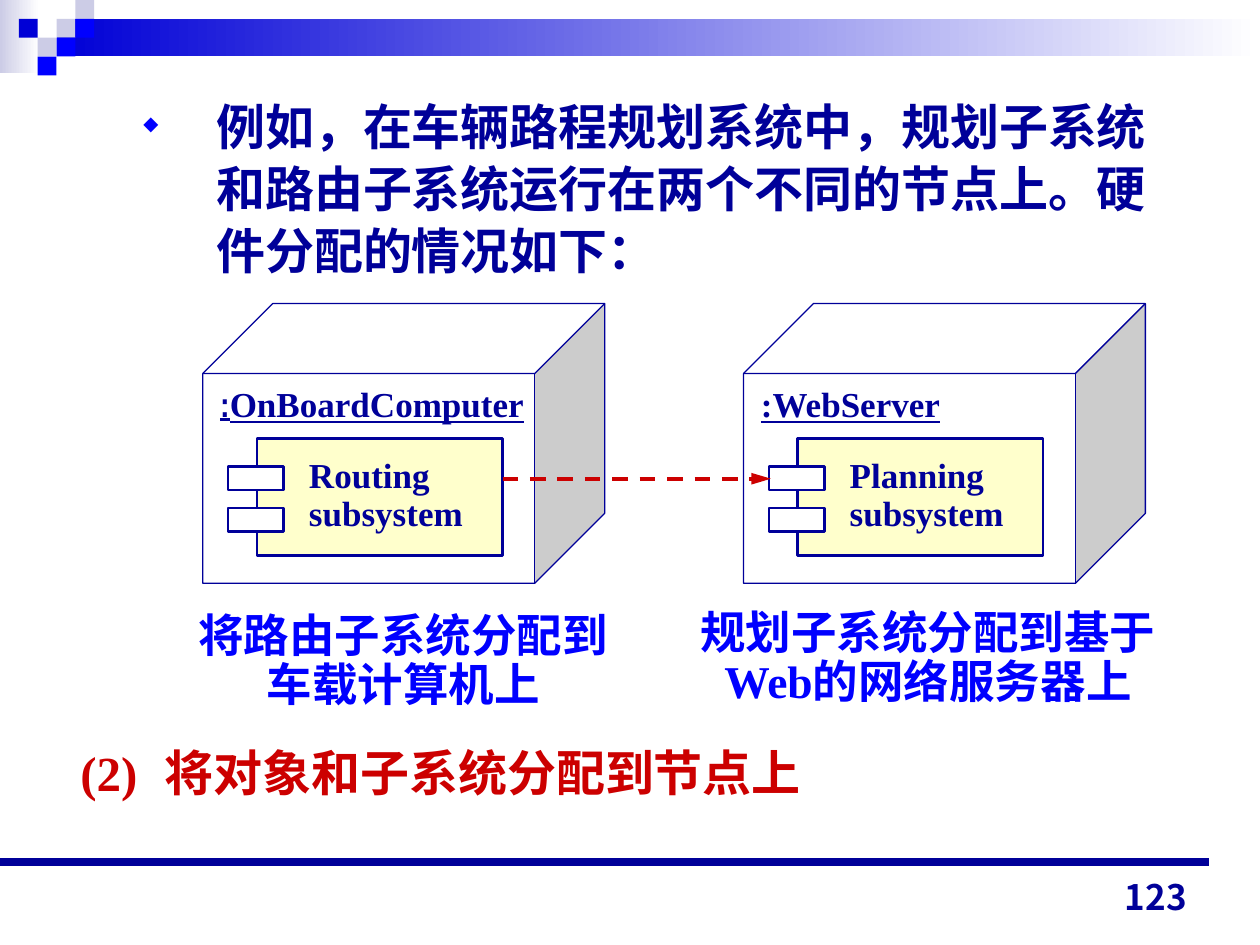
from dataclasses import dataclass

from lxml import etree
from pptx import Presentation
from pptx.dml.color import RGBColor
from pptx.enum.dml import MSO_LINE
from pptx.enum.shapes import MSO_CONNECTOR, MSO_SHAPE
from pptx.enum.text import MSO_ANCHOR, MSO_AUTO_SIZE, PP_ALIGN
from pptx.oxml.ns import qn
from pptx.util import Cm, Pt

RECT, CUBE = MSO_SHAPE.RECTANGLE, MSO_SHAPE.CUBE
STRAIGHT, DASH = MSO_CONNECTOR.STRAIGHT, MSO_LINE.DASH
LEFT, CENTER, RIGHT = PP_ALIGN.LEFT, PP_ALIGN.CENTER, PP_ALIGN.RIGHT
TOP, BOTTOM = MSO_ANCHOR.TOP, MSO_ANCHOR.BOTTOM
FIXED, GROW = MSO_AUTO_SIZE.NONE, MSO_AUTO_SIZE.SHAPE_TO_FIT_TEXT


@dataclass(frozen=True)
class Theme:
    navy: str = "000099"
    blue: str = "0000FF"
    deep_blue: str = "0000D6"
    lilac: str = "CCCCE6"
    red: str = "CC0000"
    cream: str = "FFFFCC"
    white: str = "FFFFFF"
    serif: str = "Times New Roman"
    sans: str = "Arial"
    narrow: str = "Arial Narrow"
    cjk: str = "Noto Sans CJK JP"
    body: int = 28
    caption: int = 26
    label: int = 20


def rgb(color):
    return RGBColor.from_string(color)


def write(tf, lines, *, size, color, font, align=LEFT, spacing=1.0,
          before=0, underline=False, east_asian=None):
    """Fill a text frame; a line is a string or a list of (text, font) runs."""
    for i, line in enumerate(lines):
        p = tf.paragraphs[0] if i == 0 else tf.add_paragraph()
        p.alignment, p.line_spacing, p.space_before = align, spacing, Pt(before)
        for text, face in [(line, font)] if isinstance(line, str) else line:
            r = p.add_run()
            r.text = text
            r.font.name, r.font.size, r.font.bold = face, Pt(size), True
            r.font.underline = underline
            r.font.color.rgb = rgb(color)
            if east_asian:
                r.font._element.append(
                    etree.Element(qn("a:ea"), typeface=east_asian))


class Deck:
    def __init__(self, prs, theme):
        self.theme = theme
        self.s = prs.slides.add_slide(prs.slide_layouts[6])

    def shape(self, kind, x, y, w, h, fill, line=None, width=1.5):
        sp = self.s.shapes.add_shape(kind, Cm(x), Cm(y), Cm(w), Cm(h))
        sp.shadow.inherit = False
        sp.fill.solid()
        sp.fill.fore_color.rgb = rgb(fill)
        if line:
            sp.line.color.rgb = rgb(line)
            sp.line.width = Pt(width)
        else:
            sp.line.fill.background()
        return sp

    def fade(self, x, y, w, h, color):
        sp = self.shape(RECT, x, y, w, h, color)
        sp.fill.gradient()
        sp.fill.gradient_angle = 0
        for stop, c in zip(sp.fill.gradient_stops, (color, self.theme.white)):
            stop.color.rgb = rgb(c)

    def text(self, x, y, w, h, lines, wrap=False, anchor=TOP, **fmt):
        sp = self.s.shapes.add_textbox(Cm(x), Cm(y), Cm(w), Cm(h))
        tf = sp.text_frame
        tf.word_wrap, tf.vertical_anchor = wrap, anchor
        tf.auto_size = FIXED if wrap else GROW
        write(tf, lines, east_asian=self.theme.cjk, **fmt)
        return tf

    def hanging(self, x, y, w, h, text, margin, hang, color, bullet=None):
        t = self.theme
        tf = self.text(x, y, w, h, [text], wrap=True, size=t.body, color=color,
                       font=t.serif, spacing=1.05, before=3.5)
        pPr = tf.paragraphs[0]._p.get_or_add_pPr()
        pPr.set("marL", str(Cm(margin)))
        pPr.set("indent", str(-Cm(hang)))
        if bullet:
            clr = etree.SubElement(pPr, qn("a:buClr"))
            etree.SubElement(clr, qn("a:srgbClr"), val=t.blue)
            etree.SubElement(pPr, qn("a:buSzPct"), val="40000")
            etree.SubElement(pPr, qn("a:buChar"), char=bullet)

    def line(self, x1, y1, x2, y2, color, width, dashed_arrow=False):
        cx = self.s.shapes.add_connector(STRAIGHT, Cm(x1), Cm(y1), Cm(x2), Cm(y2))
        cx.line.color.rgb = rgb(color)
        cx.line.width = Pt(width)
        if dashed_arrow:
            cx.line.dash_style = DASH
            etree.SubElement(cx.line._get_or_add_ln(), qn("a:tailEnd"),
                             type="triangle", len="lg")
        etree.SubElement(cx._element.spPr, qn("a:effectLst"))

    def node(self, x, y, title, component):
        """A deployment node: a cube holding one component."""
        t = self.theme
        style = dict(size=t.label, color=t.navy, font=t.serif)
        cube = self.shape(CUBE, x, y, 8.1, 5.64, t.white, t.navy, 0.75)
        cube.adjustments[0] = 0.25
        title_width = 6.63 if isinstance(title, list) else 4.17
        self.text(x + 0.1, y + 1.47, title_width, 1.12, [title],
                  underline=True, **style)
        self.shape(RECT, x + 1.09, y + 2.72, 4.95, 2.36, t.cream, t.navy)
        self.text(x + 1.89, y + 3, 3.61, 1.78, component, spacing=0.9, **style)
        for dy in (3.28, 4.12):
            self.shape(RECT, x + 0.51, y + dy, 1.12, 0.48, t.white, t.navy)


def main():
    prs = Presentation()
    prs.slide_width, prs.slide_height = Cm(25.4), Cm(19.05)
    t = Theme()
    deck = Deck(prs, t)

    # Header band with checkered corner: (column, row, colour)
    deck.fade(0, 0, 0.79, 1.47, t.lilac)
    deck.fade(1.14, 0.38, 24.26, 0.76, t.deep_blue)
    cell = 0.38
    for col, row, color in ((3, 1, t.lilac), (4, 0, t.lilac), (4, 1, t.blue),
                            (2, 2, t.lilac), (1, 1, t.deep_blue),
                            (3, 2, t.blue), (2, 3, t.blue)):
        deck.shape(RECT, col * cell, row * cell, cell, cell, color)

    # Footer rule
    deck.line(0, 17.37, 24.38, 17.37, t.navy, 4.5)

    # Body text
    deck.hanging(1.37, 1.77, 22.61, 4.2,
                 "例如，在车辆路程规划系统中，规划子系统和路由子系统运行在两个"
                 "不同的节点上。硬件分配的情况如下：",
                 margin=2.74, hang=1.47, color=t.navy, bullet="◆")
    deck.hanging(1.37, 14.78, 22.61, 1.6, "(2)\t将对象和子系统分配到节点上",
                 margin=1.7, hang=1.7, color=t.red)

    # Deployment diagram
    deck.node(4.09, 6.12, [(":", t.narrow), ("OnBoardComputer", t.serif)],
              ["Routing", "subsystem"])
    deck.node(14.99, 6.12, ":WebServer", ["Planning", "subsystem"])
    deck.line(10.13, 9.65, 15.54, 9.65, t.red, 2.25, dashed_arrow=True)

    # Captions
    caption = dict(size=t.caption, color=t.blue, align=CENTER, spacing=0.9)
    deck.text(3.63, 12.24, 9, 2.24, ["将路由子系统分配到", "车载计算机上"],
              font=t.sans, **caption)
    deck.text(13.75, 12.17, 9.92, 2.24, ["规划子系统分配到基于", "Web的网络服务器上"],
              font=t.serif, **caption)

    # Page number
    deck.text(18.26, 17.35, 5.92, 1.27, ["123"], wrap=True, anchor=BOTTOM,
              size=t.label, color=t.navy, font=t.cjk, align=RIGHT)

    prs.save("out.pptx")


if __name__ == "__main__":
    main()
